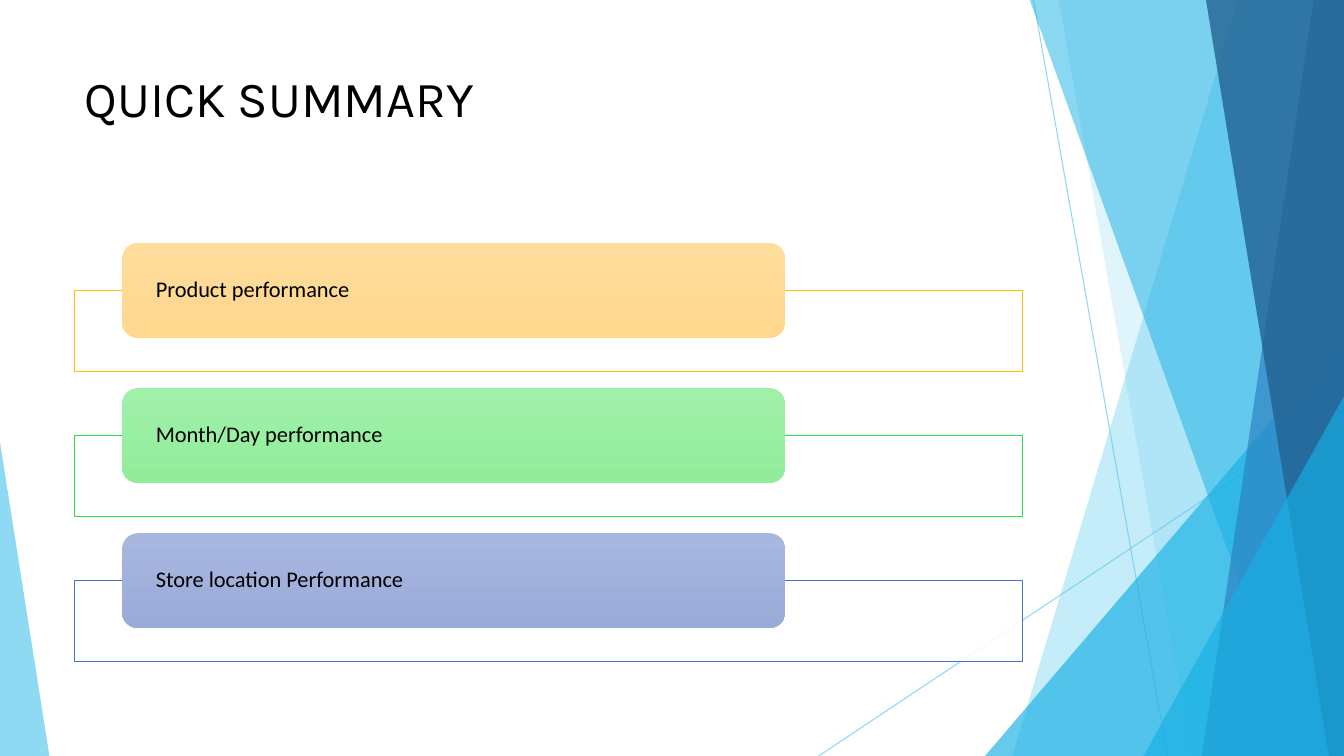
from lxml import etree
from pptx import Presentation
from pptx.dml.color import RGBColor as RGB
from pptx.enum.shapes import MSO_CONNECTOR as CONN, MSO_SHAPE as SHAPE
from pptx.enum.text import MSO_ANCHOR as ANCHOR, PP_ALIGN as ALIGN
from pptx.oxml.ns import qn
from pptx.util import Inches, Pt

BLACK = RGB(0x00, 0x00, 0x00)
WHITE = RGB(0xFF, 0xFF, 0xFF)
SKY = RGB(0x5F, 0xCB, 0xEF)
CYAN = RGB(0x17, 0xB0, 0xE4)
BLUE = RGB(0x2E, 0x83, 0xC3)
NAVY = RGB(0x23, 0x62, 0x92)

W, H = 13.33, 7.5
TOP = -0.01

RAYS = [((10.25, 0), (11.58, H)), ((W, 4.03), (8.12, H))]
FACETS = [
    (12.28, TOP, 10.04, SKY, 36),
    (10.5, TOP, 11.82, SKY, 20),
    (W, 3.33, 9.77, CYAN, 66),
    (10.21, TOP, 12.91, CYAN, 50),
    (13.03, TOP, 11.92, BLUE, 70),
    (11.96, TOP, 13.18, NAVY, 80),
    (W, 3.93, 11.34, CYAN, 66),
]
ITEMS = [
    ("Product performance", RGB(0xFF, 0xC0, 0x00),
     RGB(0xFF, 0xDD, 0x9C), RGB(0xFF, 0xD7, 0x8E)),
    ("Month/Day performance", RGB(0x23, 0xE1, 0x48),
     RGB(0xA0, 0xF0, 0xA9), RGB(0x92, 0xED, 0x9B)),
    ("Store location Performance", RGB(0x44, 0x72, 0xC4),
     RGB(0xA8, 0xB7, 0xDF), RGB(0x9A, 0xAB, 0xD9)),
]


def set_alpha(sp, percent):
    """Make the solid colour of a shape or connector see-through."""
    for clr in sp.element.iter(qn("a:srgbClr")):
        etree.SubElement(clr, qn("a:alpha"), val=str(percent * 1000))


def add_text(sp, text, size, font, anchor, inset, spacing=1.0, after=0):
    """Write one left-aligned paragraph into a shape."""
    tf = sp.text_frame
    tf.word_wrap = True
    tf.vertical_anchor = anchor
    tf.margin_left = tf.margin_right = Inches(inset)
    tf.margin_top = tf.margin_bottom = Inches(0.05)
    p = tf.paragraphs[0]
    p.alignment = ALIGN.LEFT
    p.line_spacing, p.space_after = spacing, Pt(after)
    r = p.add_run()
    r.text = text
    r.font.size, r.font.name, r.font.color.rgb = Pt(size), font, BLACK


def add_facet(s, points, color, alpha):
    """Draw a translucent polygon without outline."""
    pts = [(Inches(x), Inches(y)) for x, y in points]
    fb = s.shapes.build_freeform(*pts[0])
    fb.add_line_segments(pts[1:], close=True)
    sp = fb.convert_to_shape()
    sp.shadow.inherit = False
    sp.fill.solid()
    sp.fill.fore_color.rgb = color
    set_alpha(sp, alpha)
    sp.line.fill.background()


def add_backdrop(s, right, bottom):
    """Draw the rays and facets along the slide edges."""
    for start, end in RAYS:
        ray = s.shapes.add_connector(
            CONN.STRAIGHT, *(Inches(v) for v in start + end))
        ray.line.color.rgb = SKY
        ray.line.width = Pt(0.75)
        set_alpha(ray, 70)
        etree.SubElement(ray.element.spPr, qn("a:effectLst"))
    for x_top, y_top, x_bottom, color, alpha in FACETS:
        points = [(x_top, y_top), (right, y_top),
                  (right, bottom), (x_bottom, bottom)]
        add_facet(s, list(dict.fromkeys(points)), color, alpha)
    add_facet(s, [(0, bottom), (0, 4.39), (0.49, bottom)], SKY, 70)


def add_title(s, x, y, w, h):
    """Place the slide heading."""
    sp = s.shapes.add_textbox(Inches(x), Inches(y), Inches(w), Inches(h))
    add_text(sp, "QUICK SUMMARY", 36, "Karla", ANCHOR.TOP, 0.1)


def add_item(s, x, y, w, text, edge, light, dark):
    """Place one outlined panel with its rounded label on top."""
    panel = s.shapes.add_shape(
        SHAPE.RECTANGLE, Inches(x), Inches(y + 0.47), Inches(w), Inches(0.8))
    panel.shadow.inherit = False
    panel.fill.solid()
    panel.fill.fore_color.rgb = WHITE
    set_alpha(panel, 90)
    panel.line.color.rgb = edge
    panel.line.width = Pt(0.5)

    label = s.shapes.add_shape(
        SHAPE.ROUNDED_RECTANGLE, Inches(x + w * 0.05), Inches(y),
        Inches(w * 0.7), Inches(0.94))
    label.shadow.inherit = False
    label.fill.gradient()
    label.fill.gradient_angle = 270
    for stop, color in zip(label.fill.gradient_stops, (light, dark)):
        stop.color.rgb = color
    label.line.fill.background()
    add_text(label, text, 16, "Calibri", ANCHOR.MIDDLE, 0.29, 0.9, 8)


def add_list(s, x, y, w, pitch):
    """Stack the summary items at an equal pitch."""
    for i, item in enumerate(ITEMS):
        add_item(s, x, y + i * pitch, w, *item)


def main():
    """Build and save the slide."""
    prs = Presentation()
    prs.slide_width, prs.slide_height = Inches(W), Inches(H)
    s = prs.slides.add_slide(prs.slide_layouts[6])
    add_backdrop(s, W, H)
    add_title(s, 0.74, 0.62, 9.4, 1.44)
    add_list(s, 0.74, 2.41, 9.4, 1.44)
    prs.save("out.pptx")


if __name__ == "__main__":
    main()
